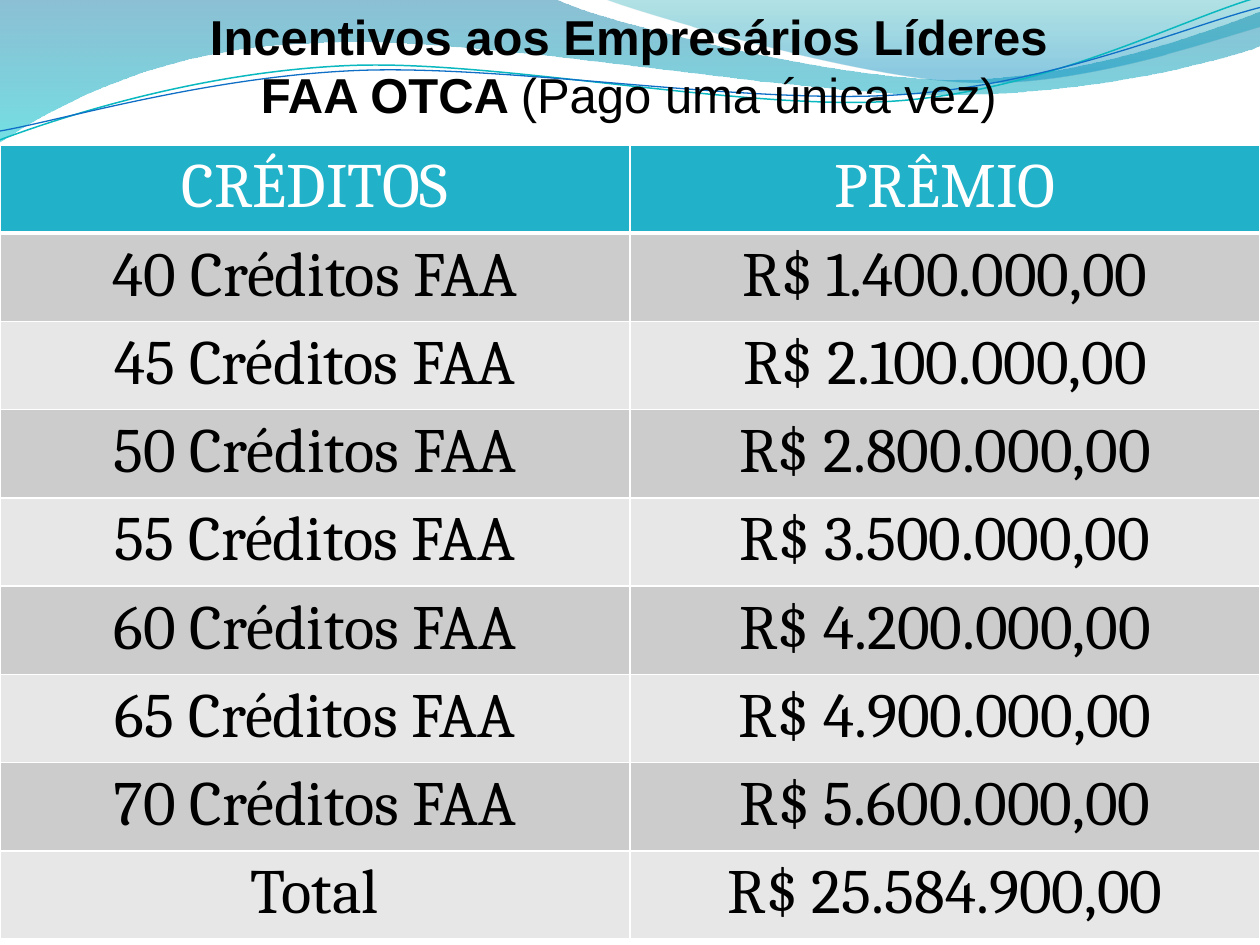
import math

from lxml import etree
from pptx import Presentation
from pptx import util as u
from pptx.dml.color import RGBColor
from pptx.enum import text
from pptx.oxml import ns

WHITE = RGBColor(0xFF, 0xFF, 0xFF)
BLACK = RGBColor(0, 0, 0)
HEADER = RGBColor(0x21, 0xB2, 0xC9)
BANDS = [RGBColor(0xCC, 0xCC, 0xCC), RGBColor(0xE7, 0xE7, 0xE7)]
OCEAN = RGBColor(0x00, 0x74, 0xA1)
AQUA = RGBColor(0x00, 0xC6, 0xCF)
TEAL = RGBColor(0x00, 0xA1, 0xA9)
SKY = RGBColor(0x00, 0x8B, 0xBF)
LINE_TEAL = RGBColor(0x0A, 0xB8, 0xBF)
LINE_BLUE = RGBColor(0x0F, 0x6F, 0xC6)

STRAND_TILT = -2.7

# A pair is a straight step; three pairs are a cubic curve's two controls and end.
LEFT_WAVE = [
    (0, 0), (4.4, -0.01),
    (4.76, 0.17, 6.64, 0.63, 7.58, 0.63), (8.53, 0.63, 9.58, 0.26, 10, 0.09),
    (10.01, 0.36),
    (9.83, 0.44, 8.7, 0.76, 7.46, 0.75), (6.22, 0.75, 3.82, 0.28, 2.57, 0.34),
    (1.29, 0.36, 0.46, 0.83, -0.01, 1.13), (0, 0),
]
RIGHT_WAVE = [
    (4.79, -0.01),
    (5.09, 0.11, 6.82, 0.62, 7.69, 0.65), (8.56, 0.69, 9.61, 0.32, 10, 0.21),
    (10, 0), (4.79, -0.01),
]
TEAL_STRAND = [
    (0, 1.11), (0.48, 0.93, 1.58, 0.57, 2.77, 0.52),
    (3.95, 0.47, 5.93, 0.89, 7.13, 0.8), (8.33, 0.71, 9.38, 0.15, 9.98, -0.02),
]
BLUE_STRAND = [
    (0, 1.04), (0.47, 0.96, 1.64, 0.61, 2.83, 0.56),
    (4.03, 0.51, 5.97, 0.84, 7.17, 0.75), (8.36, 0.67, 9.41, 0.21, 10, 0.06),
]

TITLE = [
    [("Incentivos aos Empresários Líderes", True)],
    [("FAA OTCA ", True), ("(Pago uma única vez)", False)],
]
PRIZES = [
    ("CRÉDITOS", "PRÊMIO"),
    ("40 Créditos FAA", "R$ 1.400.000,00"),
    ("45 Créditos FAA", "R$ 2.100.000,00"),
    ("50 Créditos FAA", "R$ 2.800.000,00"),
    ("55 Créditos FAA", "R$ 3.500.000,00"),
    ("60 Créditos FAA", "R$ 4.200.000,00"),
    ("65 Créditos FAA", "R$ 4.900.000,00"),
    ("70 Créditos FAA", "R$ 5.600.000,00"),
    ("Total", "R$ 25.584.900,00"),
]


def level(steps, center, degrees):
    """Undo a clockwise turn of the given degrees about the center."""
    cos, sin = math.cos(math.radians(degrees)), math.sin(math.radians(degrees))
    turned = []
    for step in steps:
        coords = []
        for x, y in zip(step[::2], step[1::2]):
            dx, dy = x - center[0], y - center[1]
            coords += [center[0] + dx * cos + dy * sin,
                       center[1] - dx * sin + dy * cos]
        turned.append(tuple(coords))
    return turned


class SlideWriter:
    title_font = "Arial"
    table_font = "Cambria"
    title_size = u.Pt(28)
    table_size = u.Pt(36)

    def __init__(self, page):
        self.page = page

    def outline(self, steps, close):
        points = [(u.Inches(x), u.Inches(y))
                  for step in steps for x, y in zip(step[::2], step[1::2])]
        builder = self.page.shapes.build_freeform(*points[0])
        builder.add_line_segments(points[1:], close=close)
        shape = builder.convert_to_shape()
        shape.shadow.inherit = False
        self.bend(shape, steps)
        return shape

    def bend(self, shape, steps):
        """Join each run of three line segments that stands for a curve."""
        segments = iter(list(shape.element.spPr.iter(ns.qn("a:lnTo"))))
        for step in steps[1:]:
            first = next(segments)
            if len(step) == 6:
                first.tag = ns.qn("a:cubicBezTo")
                for _ in range(2):
                    extra = next(segments)
                    first.append(extra[0])
                    extra.getparent().remove(extra)

    def wave(self, steps, stops):
        """Add a closed shape shaded downwards; stops are (position, colour, opacity)."""
        shape = self.outline(steps, close=True)
        shape.line.fill.background()
        shape.fill.gradient()
        shape.fill.gradient_angle = 270
        for stop, (position, color, _) in zip(shape.fill.gradient_stops, stops):
            stop.position = position
            stop.color.rgb = color
        for node, (_, _, opacity) in zip(
                shape.element.spPr.iter(ns.qn("a:srgbClr")), stops):
            etree.SubElement(node, ns.qn("a:alpha"), val=str(opacity * 1000))

    def strand(self, steps, center, color, width):
        shape = self.outline(level(steps, center, STRAND_TILT), close=False)
        shape.rotation = STRAND_TILT
        shape.fill.background()
        shape.line.color.rgb = color
        shape.line.width = u.Pt(width)

    def title(self, lines, left, top, width, height):
        box = self.page.shapes.add_textbox(left, top, width, height)
        frame = box.text_frame
        frame.word_wrap = True
        frame.auto_size = text.MSO_AUTO_SIZE.SHAPE_TO_FIT_TEXT
        for i, spans in enumerate(lines):
            para = frame.add_paragraph() if i else frame.paragraphs[0]
            para.alignment = text.PP_ALIGN.CENTER
            for words, bold in spans:
                span = para.add_run()
                span.text = words
                span.font.bold = bold
                self.style(span, self.title_font, self.title_size, BLACK)

    def style(self, span, font, size, color):
        span.font.name = font
        span.font.size = size
        span.font.color.rgb = color

    def table(self, rows, left, top, width, height):
        table = self.page.shapes.add_table(
            len(rows), len(rows[0]), left, top, width, height).table
        for r, values in enumerate(rows):
            fill = BANDS[(r - 1) % 2] if r else HEADER
            for c, value in enumerate(values):
                cell = table.cell(r, c)
                self.borders(cell, WHITE, bottom=1 if r else 3)
                self.cell(cell, value, fill, BLACK if r else WHITE)

    def cell(self, cell, value, fill, color):
        cell.fill.solid()
        cell.fill.fore_color.rgb = fill
        cell.text_frame.text = value
        para = cell.text_frame.paragraphs[0]
        para.alignment = text.PP_ALIGN.CENTER
        span = para.runs[0]
        span.font.bold = False
        self.style(span, self.table_font, self.table_size, color)

    def borders(self, cell, color, bottom):
        properties = cell._tc.get_or_add_tcPr()
        for side, width in (("lnL", 1), ("lnR", 1), ("lnT", 1), ("lnB", bottom)):
            line = etree.SubElement(
                properties, ns.qn(f"a:{side}"), w=str(u.Pt(width)))
            solid = etree.SubElement(line, ns.qn("a:solidFill"))
            etree.SubElement(solid, ns.qn("a:srgbClr"), val=str(color))


def main():
    deck = Presentation()
    deck.slide_width = u.Inches(10)
    deck.slide_height = u.Inches(7.5)
    writer = SlideWriter(deck.slides.add_slide(deck.slide_layouts[6]))

    writer.wave(LEFT_WAVE, [(0, OCEAN, 45), (1, AQUA, 55)])
    writer.wave(RIGHT_WAVE, [(0, TEAL, 30), (0.8, SKY, 45)])
    writer.strand(TEAL_STRAND, (4.99, 0.58), LINE_TEAL, 0.85)
    writer.strand(BLUE_STRAND, (5, 0.59), LINE_BLUE, 0.75)
    writer.title(TITLE, u.Inches(-0.02), 0, u.Inches(10.02), u.Inches(1.04))
    writer.table(PRIZES, 0, u.Inches(1.15), u.Inches(10), u.Inches(6.3))

    deck.save("out.pptx")


if __name__ == "__main__":
    main()
